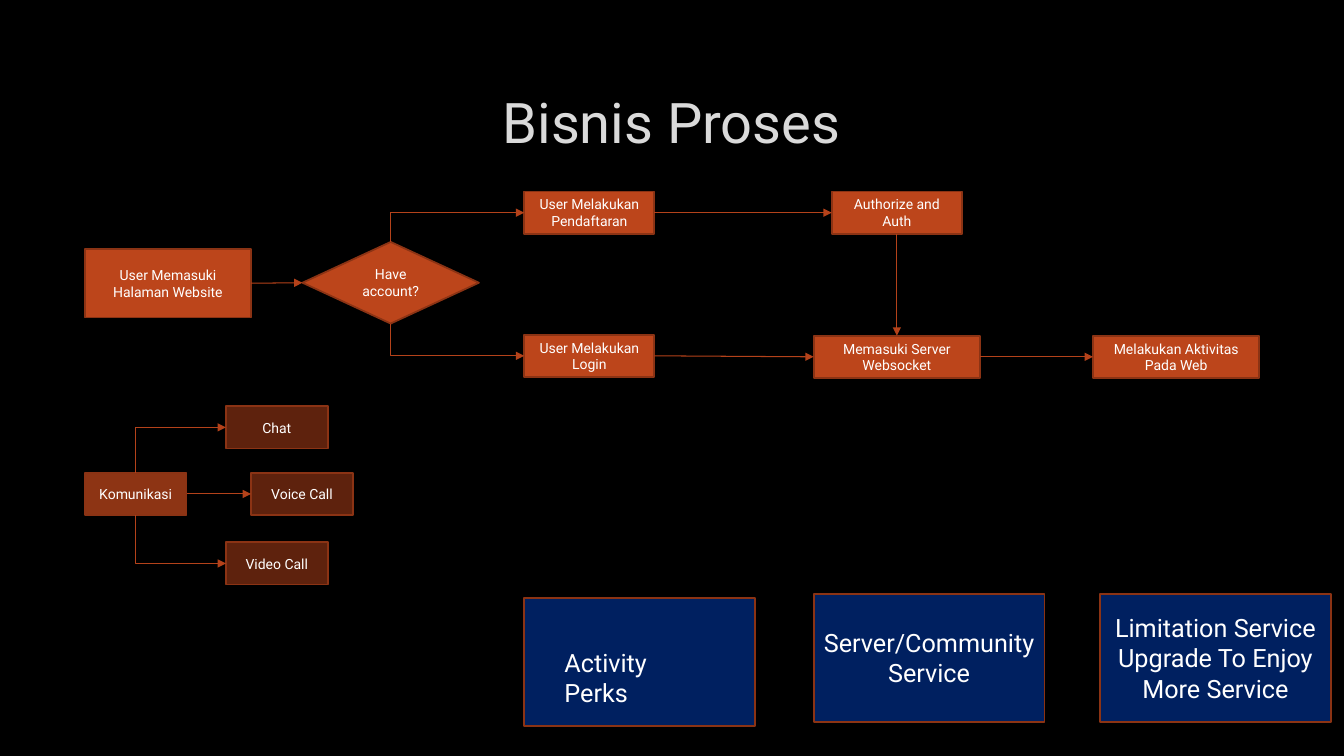
from pptx import Presentation, util as u
from pptx.dml.color import RGBColor
from pptx.enum import shapes, text
from pptx.oxml.ns import qn
from lxml import etree

TOP, LEFT, BASE, RIGHT = range(4)


def paint(form, code):
    form.fore_color.rgb = RGBColor.from_string(code)


def write(frame, words, size=10, ink="FFFFFF", align="CENTER", anchor="MIDDLE"):
    frame.word_wrap = True
    frame.vertical_anchor = getattr(text.MSO_ANCHOR, anchor)
    par = frame.paragraphs[0]
    par.alignment = getattr(text.PP_ALIGN, align)
    run = par.add_run()
    run.text = words
    run.font.name, run.font.size = "Roboto", u.Pt(size)
    run.font.color.rgb = RGBColor.from_string(ink)


class Chart:
    """Hold the style and the current slide of a flow chart."""

    rust, edge, link = "BC451B", "8B3314", "B4421A"
    brown, dark, navy = "8D3414", "5E220D", "002060"

    def __init__(self, slide):
        self.slide = slide
        fill = slide.background.fill
        fill.solid()
        paint(fill, "000000")

    def title(self, words):
        head = self.slide.shapes.title
        head.left, head.top = u.Inches(1), u.Inches(0.67)
        head.width, head.height = u.Inches(11.32), u.Inches(1.06)
        head.text_frame.auto_size = text.MSO_AUTO_SIZE.NONE
        write(head.text_frame, words, size=40, ink="DADADA")

    def box(self, words, x, y, w, h=0.42, fill=rust, kind="RECTANGLE", size=10):
        shape = self.slide.shapes.add_shape(
            getattr(shapes.MSO_SHAPE, kind), *map(u.Inches, (x, y, w, h)))
        shape.shadow.inherit = False
        shape.fill.solid()
        paint(shape.fill, fill)
        shape.line.fill.solid()
        paint(shape.line.fill, self.edge)
        shape.line.width = u.Pt(1.25)
        if words:
            write(shape.text_frame, words, size=size)
        return shape

    def label(self, words, x, y, w, h, size):
        area = self.slide.shapes.add_textbox(*map(u.Inches, (x, y, w, h)))
        write(area.text_frame, words, size=size, align="LEFT", anchor="TOP")

    def join(self, start, end, out=RIGHT, into=LEFT, kind="STRAIGHT"):
        line = self.slide.shapes.add_connector(
            getattr(shapes.MSO_CONNECTOR, kind), 0, 0, 0, 0)
        line.begin_connect(start, out)
        line.end_connect(end, into)
        line.line.fill.solid()
        paint(line.line.fill, self.link)
        line.line.width = u.Pt(0.75)
        props = line._element.spPr
        tail = etree.SubElement(props.find(qn("a:ln")), qn("a:tailEnd"))
        tail.set("type", "triangle")
        etree.SubElement(props, qn("a:effectLst"))
        return line

    def bend(self, start, end, out):
        line = self.join(start, end, out, kind="ELBOW")
        x, y, w, h = line.left, line.top, line.width, line.height
        line.left, line.top = x + (w - h) // 2, y + (h - w) // 2
        line.width, line.height = h, w
        props = line._element.spPr
        props.find(qn("a:prstGeom")).set("prst", "bentConnector2")
        frame = props.find(qn("a:xfrm"))
        up = out == TOP
        frame.set("rot", "5400000" if up else "16200000")
        frame.set("flipH", "1")
        frame.set("flipV", "1" if up else "0")


def main():
    deck = Presentation()
    deck.slide_width, deck.slide_height = u.Inches(13.33), u.Inches(7.5)
    chart = Chart(deck.slides.add_slide(deck.slide_layouts[5]))
    chart.title("Bisnis Proses")

    visit = chart.box("User Memasuki Halaman Website", 0.84, 2.47, 1.65, 0.68)
    check = chart.box("Have account?", 3, 2.4, 1.75, 0.81, kind="DIAMOND")
    signup = chart.box("User Melakukan Pendaftaran", 5.2, 1.9, 1.29)
    login = chart.box("User Melakukan Login", 5.2, 3.32, 1.29)
    auth = chart.box("Authorize and Auth", 8.25, 1.9, 1.29)
    server = chart.box("Memasuki Server Websocket", 8.07, 3.33, 1.65)
    work = chart.box("Melakukan Aktivitas Pada Web", 10.84, 3.33, 1.65)
    for start, end in ((visit, check), (signup, auth), (login, server), (server, work)):
        chart.join(start, end)
    chart.join(auth, server, BASE, TOP)
    chart.bend(check, signup, TOP)
    chart.bend(check, login, BASE)

    talk = chart.box("Komunikasi", 0.84, 4.69, 1.01, fill=chart.brown)
    chat, voice, video = [
        chart.box(words, x, y, 1.01, fill=chart.dark)
        for words, x, y in (("Chat", 2.24, 4.03), ("Voice Call", 2.49, 4.69),
                            ("Video Call", 2.24, 5.38))]
    chart.bend(talk, chat, TOP)
    chart.join(talk, voice)
    chart.bend(talk, video, BASE)

    for words, x, y in (("", 5.2, 5.93), ("Server/Community Service", 8.07, 5.89),
                        ("Limitation Service Upgrade To Enjoy More Service", 10.91, 5.89)):
        chart.box(words, x, y, 2.29, 1.27, fill=chart.navy, size=18)
    chart.label("Activity Perks", 5.5, 6.37, 1.6, 0.7, size=18)

    deck.save("out.pptx")


if __name__ == "__main__":
    main()
